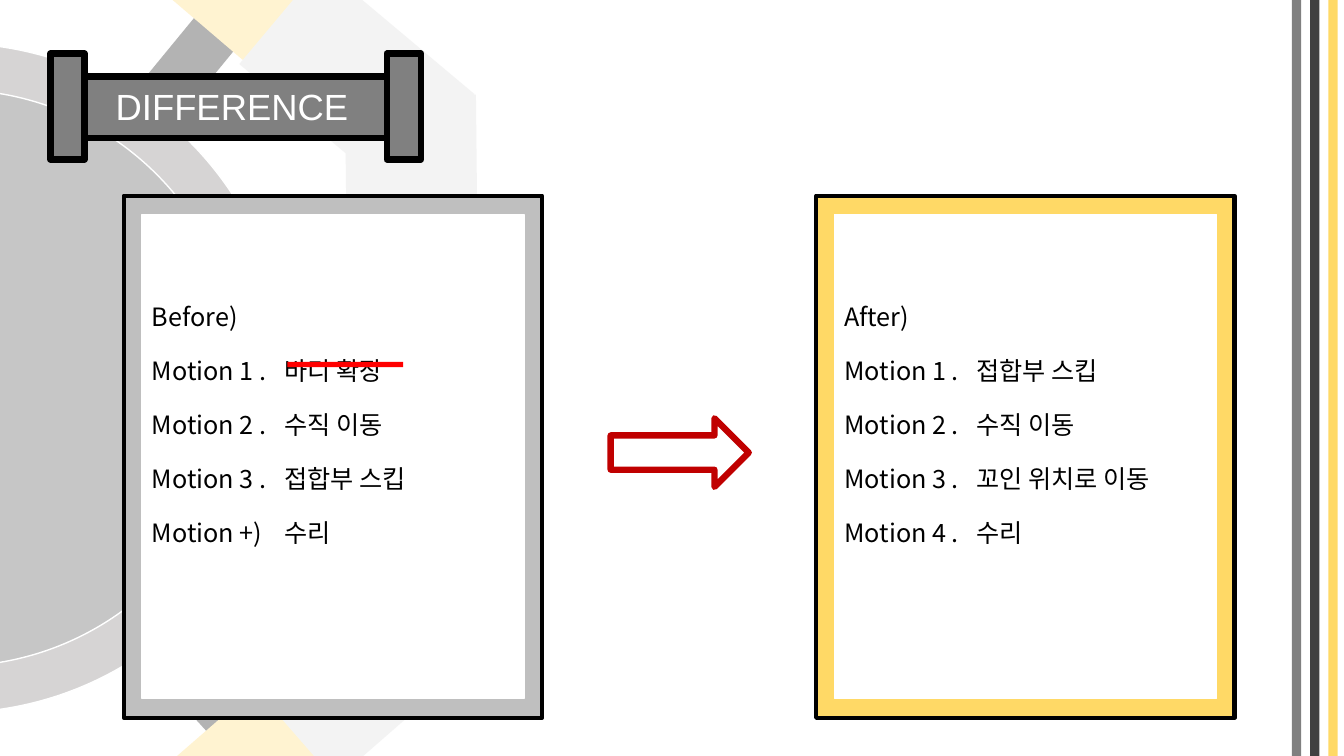
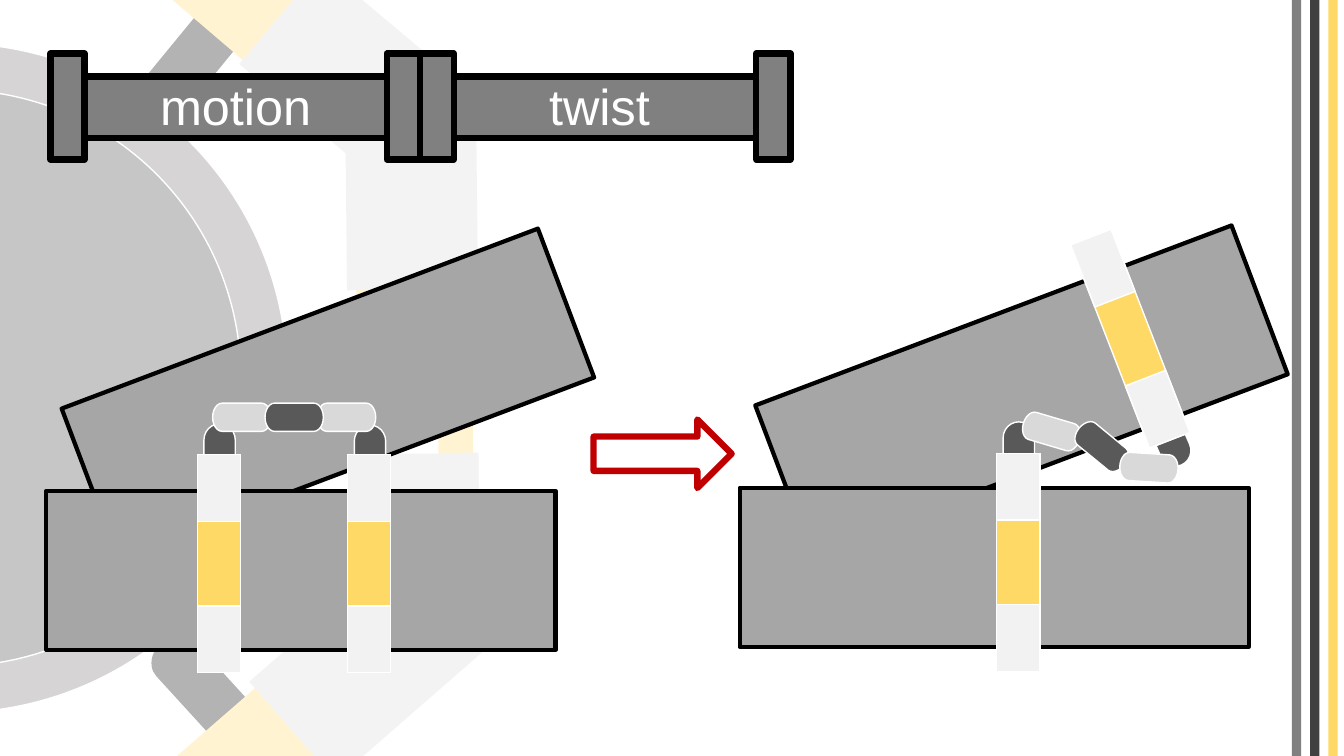
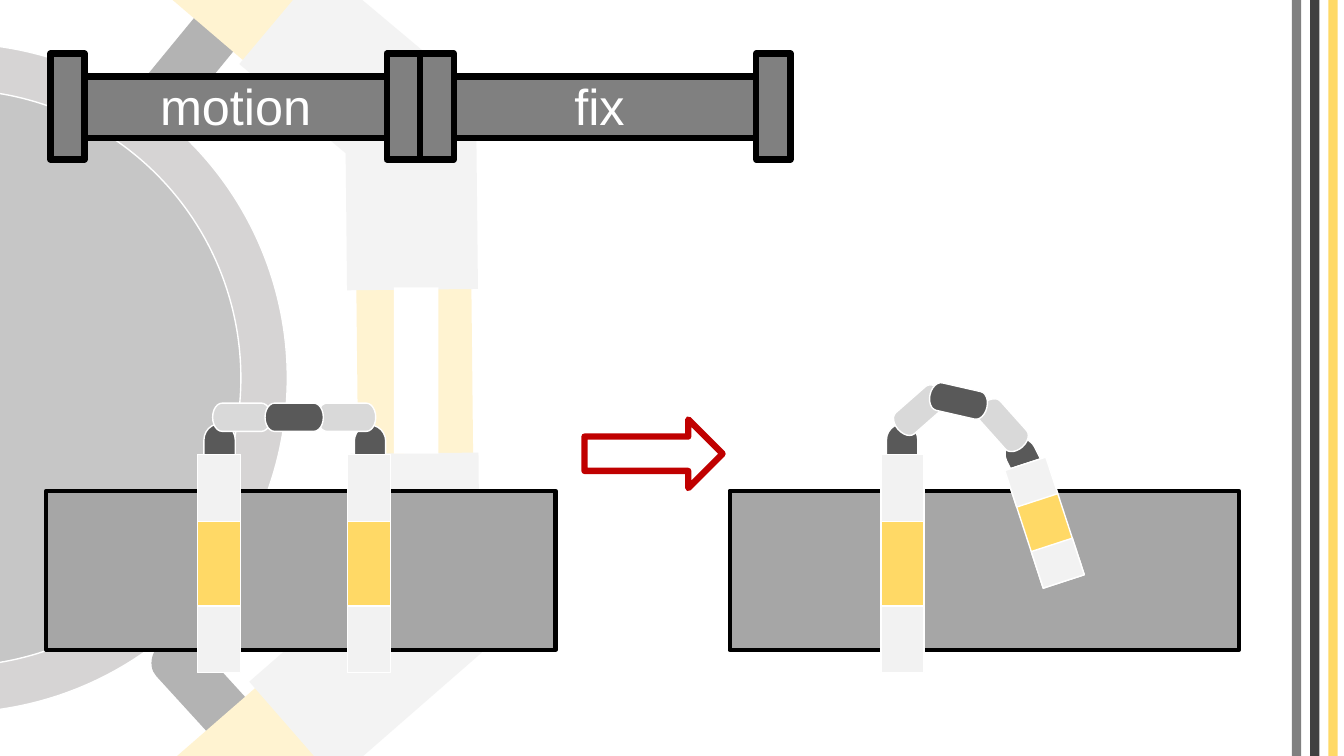
from dataclasses import dataclass
from math import cos, radians, sin

from lxml import etree
from pptx import Presentation
from pptx.dml.color import RGBColor
from pptx.enum.shapes import MSO_SHAPE
from pptx.enum.text import MSO_ANCHOR, PP_ALIGN
from pptx.oxml.ns import qn
from pptx.util import Cm, Pt

RECT = MSO_SHAPE.RECTANGLE
OVAL = MSO_SHAPE.OVAL
PILL = MSO_SHAPE.FLOWCHART_TERMINATOR
KNUCKLE = MSO_SHAPE.FLOWCHART_DELAY
ARROW = MSO_SHAPE.RIGHT_ARROW
MIDDLE = MSO_ANCHOR.MIDDLE
LEFT, CENTER = PP_ALIGN.LEFT, PP_ALIGN.CENTER


@dataclass(frozen=True)
class Theme:
    white: str = "FFFFFF"
    black: str = "000000"
    yellow: str = "FFD966"
    pipe: str = "808080"
    dark: str = "404040"
    rim: str = "767171"
    housing: str = "D9D9D9"
    card: str = "BFBFBF"
    block: str = "A6A6A6"
    joint: str = "595959"
    arm_end: str = "F2F2F2"
    arrow: str = "C00000"
    strike: str = "FF0000"
    title_font: str = "Arial"
    body_font: str = "Noto Sans CJK KR"
    long_title: int = 26
    title: int = 36
    body: int = 18
    thin: float = 1
    medium: float = 3
    thick: float = 4.5


T = Theme()


def place(slide, kind, x, y, w, h, fill=None, line=None, weight=T.thin, turn=0):
    """Add a preset shape; lengths in centimetres, turn in degrees."""
    shape = slide.shapes.add_shape(kind, Cm(x), Cm(y), Cm(w), Cm(h))
    shape.shadow.inherit = False
    shape.rotation = turn
    if fill:
        shape.fill.solid()
        shape.fill.fore_color.rgb = RGBColor.from_string(fill)
    else:
        shape.fill.background()
    if line:
        shape.line.color.rgb = RGBColor.from_string(line)
        shape.line.width = Pt(weight)
    else:
        shape.line.fill.background()
    return shape


def write(shape, lines, font, size, color, align, gap=0, tab=None):
    """Fill a shape with paragraphs that share one style."""
    frame = shape.text_frame
    frame.word_wrap = True
    frame.vertical_anchor = MIDDLE
    for i, line in enumerate(lines):
        paragraph = frame.paragraphs[0] if i == 0 else frame.add_paragraph()
        paragraph.text = line
        paragraph.alignment = align
        if i and gap:
            paragraph.space_before = Pt(gap)
        properties = paragraph._p.get_or_add_pPr()
        if tab:
            stops = etree.SubElement(properties, qn("a:tabLst"))
            etree.SubElement(stops, qn("a:tab"), pos=str(Cm(tab)), algn="l")
        paragraph.font.size = Pt(size)
        paragraph.font.color.rgb = RGBColor.from_string(color)
        paragraph.font.name = font
        defaults = properties.find(qn("a:defRPr"))
        etree.SubElement(defaults, qn("a:ea"), typeface=font)


prs = Presentation()
prs.slide_width, prs.slide_height = Cm(33.87), Cm(19.05)

# Backdrop wheel: kind, x, y, w, h, fill, line, turn, only on open slides
backdrop = [
    (PILL, 3.23, 0.81, 3.35, 1.3, T.black, None, 309.4, False),
    (RECT, 3.45, -2.03, 4.9, 2.9, T.yellow, None, 40.5, False),
    (PILL, 3.51, 16.79, 3.35, 1.3, T.black, None, 47.6, False),
    (RECT, 4.6, 17.27, 4.9, 2.9, T.yellow, None, 139, False),
    (OVAL, -9.63, 1.09, 16.87, 16.87, T.rim, T.white, 0, False),
    (OVAL, -8.46, 2.26, 14.53, 14.53, T.dark, T.white, 0, False),
    (RECT, 8, 7.77, 4.9, 2.9, T.yellow, None, 89.4, True),
    (RECT, 6.48, 0.38, 5.03, 3.23, T.housing, None, 40, False),
    (RECT, 7.92, 3.2, 4.9, 3.3, T.housing, None, 89.4, False),
    (RECT, 7.95, 12.32, 5.03, 3.23, T.housing, None, 89.5, True),
    (RECT, 6.76, 15.16, 4.9, 3.3, T.housing, None, 138.9, False),
    (RECT, 9.93, 7.24, 1.12, 4.19, T.white, None, 0, True),
]
stripes = [(32.56, T.pipe), (33.02, T.dark), (33.48, T.yellow)]

# Titles of each slide: text, centre of the caption, size
titles = [
    [("DIFFERENCE", 5.85, T.long_title)],
    [("motion", 5.94, T.title), ("twist", 15.11, T.title)],
    [("motion", 5.94, T.title), ("fix", 15.11, T.title)],
]
pipe_pitch, caption_width = 9.31, 7.65

# Shared layer: backdrop, veil, stripes and pipe titles
slides = []
for captions in titles:
    slide = prs.slides.add_slide(prs.slide_layouts[6])
    slides.append(slide)
    has_cards = len(captions) == 1
    for kind, x, y, w, h, fill, line, turn, open_only in backdrop:
        if not (open_only and has_cards):
            place(slide, kind, x, y, w, h, fill, line, turn=turn)
    veil = place(slide, RECT, 0, 0, 33.87, 19.05, T.white)
    veil_color = veil.fill._xPr.find(qn("a:solidFill"))[0]
    etree.SubElement(veil_color, qn("a:alpha"), val="70000")
    for x, color in stripes:
        place(slide, RECT, x, -0.25, 0.23, 20.14, color)
    for i, (caption, center, size) in enumerate(captions):
        x = i * pipe_pitch
        place(slide, RECT, x + 1.4, 1.93, 8.74, 1.55, T.pipe, T.black, T.thick)
        for cap_x in (9.75, 1.27):
            place(slide, RECT, x + cap_x, 1.35, 0.86, 2.67,
                  T.pipe, T.black, T.thick)
        label = slide.shapes.add_textbox(
            Cm(center - caption_width / 2), Cm(1.76), Cm(caption_width), Cm(1.8))
        write(label, [caption], T.title_font, size, T.white, CENTER)

# Slide 1: before and after cards
difference = slides[0]
cards = [
    (3.12, T.card, ["Before)", "Motion 1 .\t바디 확장", "Motion 2 .\t수직 이동",
                    "Motion 3 .\t접합부 스킵", "Motion +)\t수리"]),
    (20.57, T.yellow, ["After)", "Motion 1 .\t접합부 스킵", "Motion 2 .\t수직 이동",
                       "Motion 3 .\t꼬인 위치로 이동", "Motion 4 .\t수리"]),
]
for x, color, motions in cards:
    place(difference, RECT, x, 4.93, 10.54, 13.16, color, T.black, T.medium)
    page = place(difference, RECT, x + 0.46, 5.41, 9.63, 12.19, T.white, T.white)
    page.text_frame.margin_bottom = Cm(1.75)
    write(page, motions, T.body_font, T.body, T.black, LEFT, gap=17, tab=3.33)
place(difference, RECT, 7.24, 9.12, 2.92, 0.13, T.strike)
place(difference, ARROW, 15.39, 10.54, 3.48, 1.73, T.white, T.arrow, T.thick)

# Slides 2 and 3: blocks (x, y, turn), knuckles (x, y, turn),
# links (x, y, turn, fill), arms (x, y, height, end height, turn)
start_knuckles = [(5.13, 10.69, 270), (8.92, 10.72, 270)]
start_links = [(5.36, 10.16, 0, T.housing), (8, 10.16, 0, T.housing),
               (6.68, 10.16, 0, T.joint)]
start_arms = [(4.98, 11.46, 5.49, 1.68, 0), (8.76, 11.46, 5.49, 1.68, 0)]
scenes = [
    {"blocks": [(1.85, 7.9, 339.3), (1.17, 12.37, 0),
                (19.33, 7.82, 339.3), (18.64, 12.29, 0)],
     "knuckles": [(25.27, 10.64, 270), (29.21, 10.95, 66.3)],
     "links": [(25.76, 10.52, 16.5, T.housing), (27.03, 10.9, 39.4, T.joint),
               (28.22, 11.43, 3.6, T.housing)],
     "arms": [(25.12, 11.43, 5.49, 1.68, 0), (27.94, 5.79, 5.49, 1.68, 338.8)],
     "arrow": 14.96},
    {"blocks": [(1.17, 12.37, 0), (18.39, 12.37, 0)],
     "knuckles": [(22.33, 10.69, 270), (25.32, 11.05, 243.5)],
     "links": [(22.45, 9.98, 318.7, T.housing), (24.54, 10.36, 48.2, T.housing),
               (23.42, 9.75, 12.9, T.joint)],
     "arms": [(22.2, 11.46, 5.49, 1.68, 0), (25.78, 11.61, 3.12, 0.97, 341.9)],
     "arrow": 14.73},
]
arm_width = 1.09
for slide, scene in zip(slides[1:], scenes):
    for x, y, turn in scene["blocks"]:
        place(slide, RECT, x, y, 12.83, 4.01, T.block, T.black, T.medium, turn)
    for x, y, turn in start_knuckles + scene["knuckles"]:
        place(slide, KNUCKLE, x, y, 0.81, 0.79, T.joint, T.white, turn=turn)
    for x, y, turn, color in start_links + scene["links"]:
        place(slide, PILL, x, y, 1.47, 0.71, color, T.white, turn=turn)
    for x, y, height, end, turn in start_arms + scene["arms"]:
        place(slide, RECT, x, y, arm_width, height, T.yellow, T.white, turn=turn)
        # Both ends lie on the turned axis of the arm
        for reach in ((height - end) / 2, (end - height) / 2):
            end_x = x + reach * sin(radians(turn))
            end_y = y + (height - end) / 2 - reach * cos(radians(turn))
            place(slide, RECT, end_x, end_y, arm_width, end,
                  T.arm_end, T.white, turn=turn)
    place(slide, ARROW, scene["arrow"], 10.57, 3.48, 1.73,
          None, T.arrow, T.thick)

prs.save("out.pptx")
